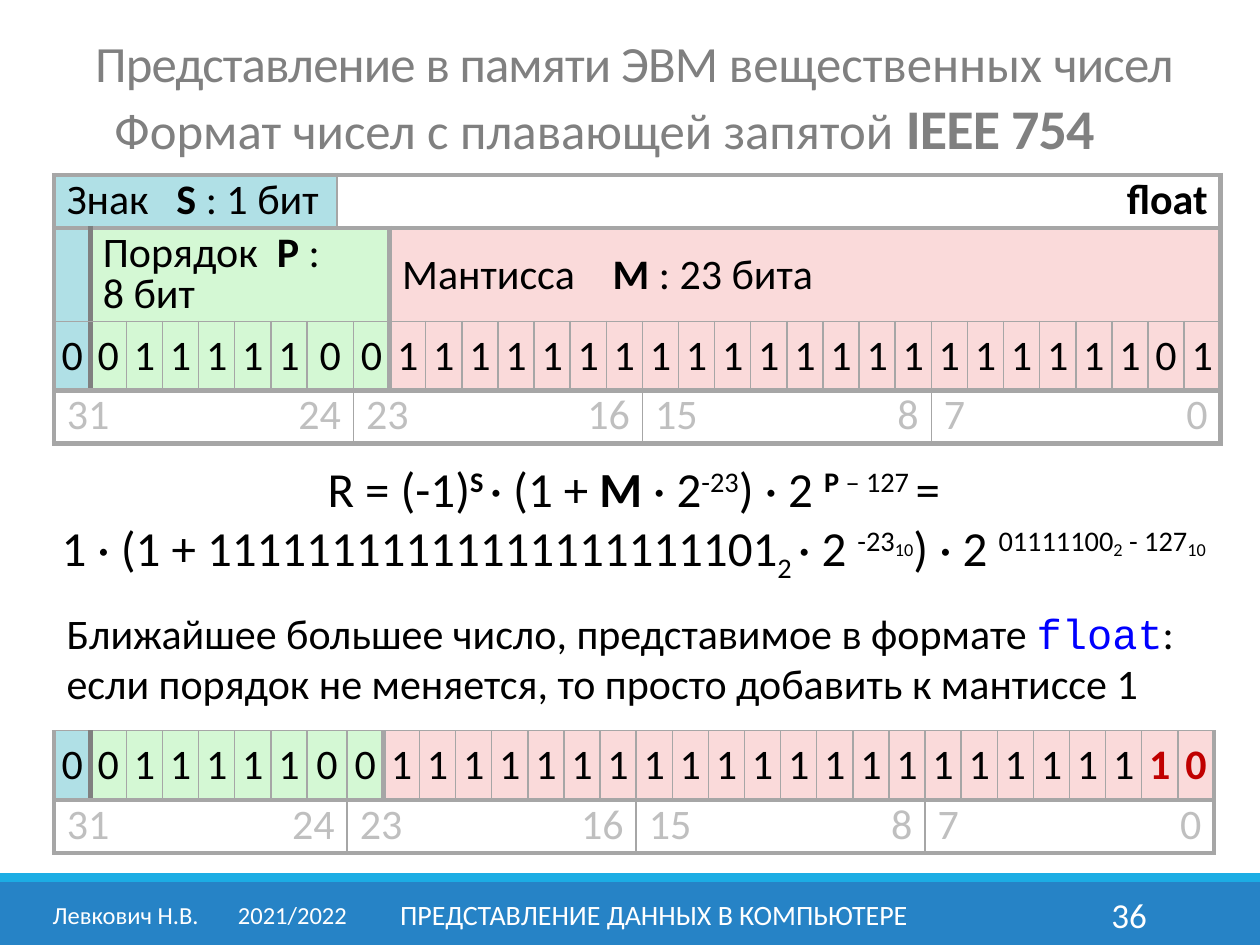
from lxml.etree import SubElement
from pptx import Presentation
from pptx.dml.color import RGBColor
from pptx.enum.shapes import MSO_SHAPE
from pptx.enum.text import MSO_ANCHOR, PP_ALIGN
from pptx.oxml.ns import qn
from pptx.util import Inches, Pt

COLORS = {
    "black": "000000", "white": "FFFFFF", "title": "808080", "code": "0000FF",
    "changed": "C00000", "index": "BFBFBF", "grid": "A6A6A6", "divider": "808080",
    "sign": "B0E0E6", "exponent": "D4F8D4", "mantissa": "FADADA",
    "footer": "2683C6", "stripe": "1CADE4",
}
WIDTH, HEIGHT = Inches(10), Inches(7.5)
LEFT, CENTER, RIGHT = PP_ALIGN.LEFT, PP_ALIGN.CENTER, PP_ALIGN.RIGHT
BIT_WIDTH = 2.87
BIT_ROW, INDEX_ROW, FIELD_ROW = 7.33, 3.73, 8
THIN, THICK = (1, "grid"), (3, "grid")
DIVIDER = (3, "divider")
BOLD = {"bold": True}
SUPER, SUB = {"shift": 30}, {"shift": -25}
SMALL_SUPER = {"shift": 30, "size": 18}


def across(percent):
    return round(WIDTH * percent / 100)


def down(percent):
    return round(HEIGHT * percent / 100)


def area(left, top, width, height):
    """Turn percentages of the slide into lengths."""
    return across(left), down(top), across(width), down(height)


def color(name):
    return RGBColor.from_string(COLORS[name])


def write_para(para, spans, size=24, ink="black", align=LEFT, spacing=None, tab=None):
    """Write spans, each a string or a (string, overrides) pair."""
    para.alignment = align
    if spacing:
        para.line_spacing = spacing
    if tab:
        stops = SubElement(para._p.get_or_add_pPr(), qn("a:tabLst"))
        SubElement(stops, qn("a:tab"), pos=str(Inches(tab)), algn="l")
    para.font.size = Pt(size)
    para.font.name = "Calibri"
    para.font.color.rgb = color(ink)
    for item in spans:
        text, style = (item, {}) if isinstance(item, str) else item
        if text == "\n":
            para.add_line_break()
            continue
        span = para.add_run()
        span.text = text
        if "bold" in style:
            span.font.bold = style["bold"]
        if "size" in style:
            span.font.size = Pt(style["size"])
        if "font" in style:
            span.font.name = style["font"]
        if "ink" in style:
            span.font.color.rgb = color(style["ink"])
        for key, attribute, unit in (("shift", "baseline", 1000), ("track", "spc", 100)):
            if key in style:
                span._r.get_or_add_rPr().set(attribute, str(round(style[key] * unit)))


def add_text(page, box, paras, anchor=MSO_ANCHOR.TOP):
    frame = page.shapes.add_textbox(*box).text_frame
    frame.word_wrap = True
    frame.vertical_anchor = anchor
    for number, (spans, options) in enumerate(paras):
        para = frame.add_paragraph() if number else frame.paragraphs[0]
        write_para(para, spans, **options)


def draw_title(page, box):
    tight, loose = {"track": -0.5}, {"track": 0}
    add_text(page, box, [
        ([("Представление в памяти ЭВМ ", tight), ("вещественных ", loose), ("чисел", tight)],
         dict(size=29, ink="title", align=CENTER, spacing=0.85)),
        (["\tФормат чисел с плавающей запятой ",
          ("IEEE 754", {"size": 32, "bold": True, "track": -0.5})],
         dict(size=29, ink="title", tab=0.5)),
    ], MSO_ANCHOR.MIDDLE)


def draw_formula(page, box):
    line = dict(size=28, align=CENTER)
    add_text(page, box, [
        (["R = (-1)", ("S ", BOLD | SUPER), "· (1 + ", ("M ", BOLD), "· 2", ("-23", SUPER),
          ") · 2 ", ("P", BOLD | SUPER), (" – 127 ", SUPER), "="], line),
        (["1 · (1 + 11111111111111111111101", ("2 ", SUB), "· 2 ", ("-23", SUPER),
          ("10", SMALL_SUPER), ") · 2 ", ("01111100", SUPER), ("2", SMALL_SUPER),
          (" - 127", SUPER), ("10", SMALL_SUPER)], line),
    ])


def draw_explanation(page, box):
    add_text(page, box, [
        (["Ближайшее большее число, представимое в формате ",
          ("float", {"font": "Courier New", "ink": "code"}), ":"], {}),
        (["если порядок не меняется, то просто добавить к мантиссе 1"], {}),
    ])


def draw_footer(page):
    for box, name in ((area(0, 93.33, 100, 6.67), "footer"), (area(0, 92.4, 100, 0.93), "stripe")):
        band = page.shapes.add_shape(MSO_SHAPE.RECTANGLE, *box)
        band.shadow.inherit = False
        band.fill.solid()
        band.fill.fore_color.rgb = color(name)
        band.line.fill.background()
    for left, width, text, options in (
        (3.2, 26.1, "Левкович Н.В.\t2021/2022", dict(size=14, tab=1.47)),
        (81.2, 10.8, "36", dict(size=20, align=RIGHT)),
        (30.2, 43.4, "ПРЕДСТАВЛЕНИЕ ДАННЫХ В КОМПЬЮТЕРЕ", dict(size=16, align=CENTER)),
    ):
        add_text(page, area(left, 94.13, width, 5.33),
                 [([text], dict(ink="white", **options))], MSO_ANCHOR.MIDDLE)


def add_grid(page, left, top, columns, rows):
    box = area(left, top, sum(columns), sum(rows))
    table = page.shapes.add_table(len(rows), len(columns), *box).table
    table.first_row = table.horz_banding = False
    for column, width in zip(table.columns, columns):
        column.width = across(width)
    for row, height in zip(table.rows, rows):
        row.height = down(height)
    for cell in table.iter_cells():
        cell.fill.background()
    return table


def fill_cell(table, row, first, last, spans, borders, fill=None,
              anchor=MSO_ANCHOR.MIDDLE, margin=None, **options):
    """Merge columns first to last; borders run left, right, top, bottom."""
    cell = table.cell(row, first)
    if last > first:
        cell.merge(table.cell(row, last))
    cell.vertical_anchor = anchor
    if margin:
        cell.margin_left = cell.margin_right = Inches(margin)
    write_para(cell.text_frame.paragraphs[0], spans, **options)
    properties = cell._tc.get_or_add_tcPr()
    for index, (side, border) in enumerate(zip("LRTB", borders)):
        width, name = border or (0, None)
        line = properties.makeelement(qn("a:ln" + side), {"w": str(Pt(width))})
        properties.insert(index, line)
        if name:
            SubElement(SubElement(line, qn("a:solidFill")), qn("a:srgbClr"), val=COLORS[name])
        else:
            SubElement(line, qn("a:noFill"))
    if fill:
        cell.fill.solid()
        cell.fill.fore_color.rgb = color(fill)


def fill_bits(table, row, bits, edges, changed=()):
    """Write the bit row and the row of byte indices; edges are column limits of bits."""
    for place, bit in enumerate(bits):
        field = "sign" if place == 0 else "exponent" if place < 9 else "mantissa"
        left = {0: THICK, 1: DIVIDER, 9: THICK}.get(place, THIN)
        right = {0: DIVIDER, 8: THICK, 31: THICK}.get(place, THIN)
        style = {"bold": True, "ink": "changed"} if place in changed else {}
        fill_cell(table, row, edges[place], edges[place + 1] - 1, [(bit, style)],
                  (left, right, THIN, THICK), field, margin=0.04, align=CENTER)
    for start in range(0, 32, 4):
        opens = start % 8 == 0
        left = (THIN if start else THICK) if opens else None
        right = None if opens else (THICK if start == 28 else THIN)
        label = str(31 - start if opens else 28 - start)
        fill_cell(table, row + 1, edges[start], edges[start + 4] - 1, [label],
                  (left, right, THICK, THICK), ink="index", spacing=0.8,
                  align=LEFT if opens else RIGHT)


def draw_format_table(page, left, top):
    columns = [BIT_WIDTH] * 7 + [2.3, 1.3] + [BIT_WIDTH] * 24
    table = add_grid(page, left, top, columns, [INDEX_ROW, FIELD_ROW, BIT_ROW, INDEX_ROW])
    fill_cell(table, 0, 0, 7, ["Знак\t", ("S ", BOLD), ": 1 бит"],
              (THICK, THIN, THICK, THICK), "sign", spacing=0.8, tab=0.87)
    fill_cell(table, 0, 8, 32, [("float", BOLD)], (THIN, THICK, THICK, THICK),
              anchor=MSO_ANCHOR.TOP, align=RIGHT, spacing=0.8)
    fill_cell(table, 1, 0, 0, [], (THICK, DIVIDER, THICK, THIN), "sign")
    fill_cell(table, 1, 1, 9, ["Порядок\t", ("P", BOLD), " :", "\n", "8 бит"],
              (DIVIDER, THICK, THICK, THIN), "exponent", spacing=0.8, tab=1.38)
    fill_cell(table, 1, 10, 32, ["Мантисса\t", ("M ", BOLD), ": 23 бита"],
              (THICK, THICK, THICK, THIN), "mantissa", tab=1.67)
    fill_bits(table, 2, "001111100" + "1" * 21 + "01", [*range(8), *range(9, 34)])


def draw_next_number_table(page, left, top):
    columns = [BIT_WIDTH] * 7 + [3.2] + [BIT_WIDTH] * 24
    table = add_grid(page, left, top, columns, [BIT_ROW, INDEX_ROW])
    fill_bits(table, 0, "001111100" + "1" * 22 + "0", range(33), changed=(30, 31))


def main():
    deck = Presentation()
    deck.slide_width, deck.slide_height = WIDTH, HEIGHT
    page = deck.slides.add_slide(deck.slide_layouts[6])
    draw_footer(page)
    draw_title(page, area(3.1, 5.33, 94.5, 10.67))
    draw_next_number_table(page, 4.3, 77.33)
    draw_explanation(page, area(4.3, 63.6, 93.7, 12.13))
    draw_format_table(page, 4.3, 18.53)
    draw_formula(page, area(0.3, 47.87, 100, 13.87))
    deck.save("out.pptx")


if __name__ == "__main__":
    main()
